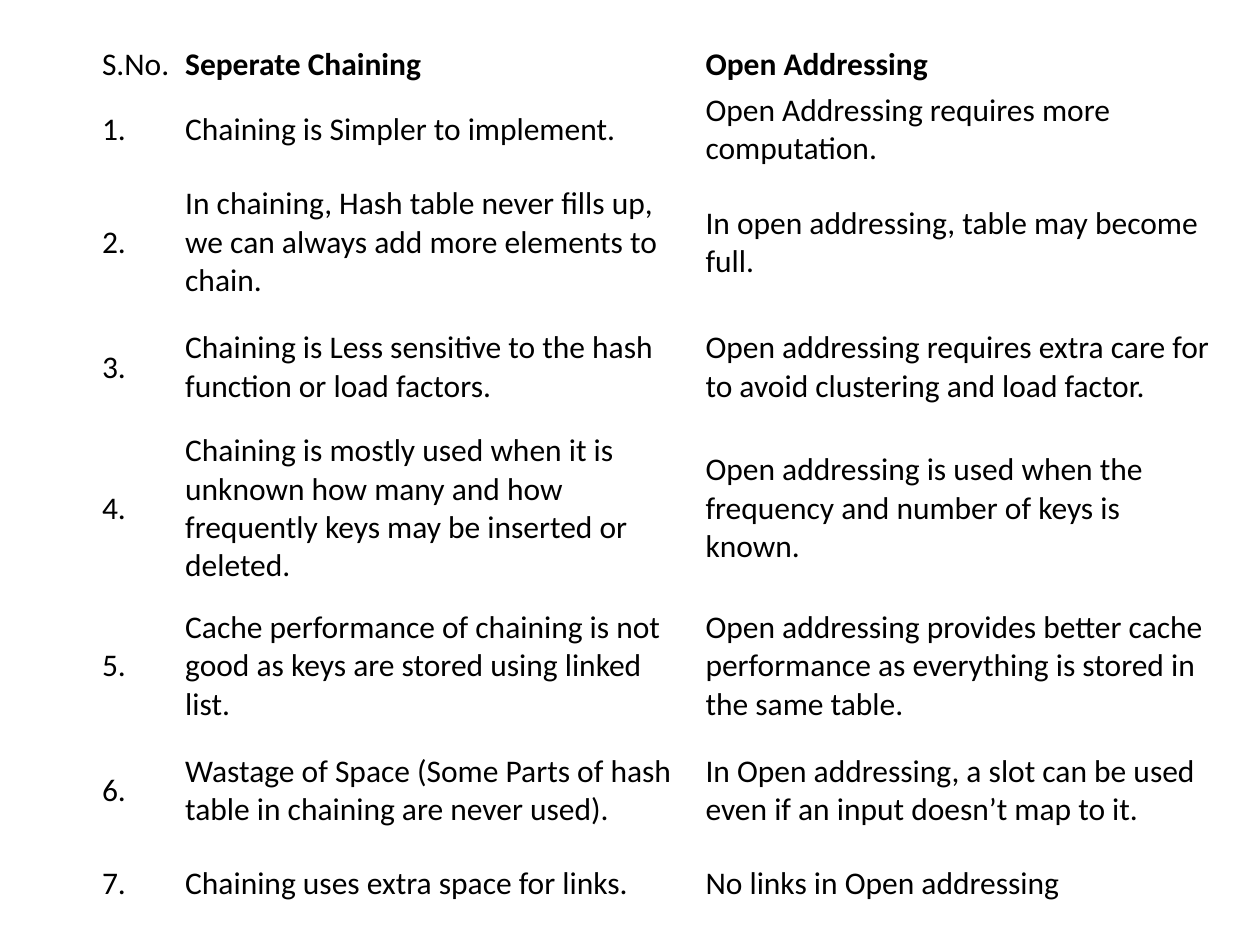
from pptx import Presentation
from pptx.dml.color import RGBColor as RGB
from pptx.enum.text import MSO_ANCHOR as Anchor
from pptx.util import Inches, Pt

HEAD = ("S.No.", "Seperate Chaining", "Open Addressing")
PAIRS = [
    ("Chaining is Simpler to implement.",
     "Open Addressing requires more computation."),
    ("In chaining, Hash table never fills up, we can always add more elements to chain.",
     "In open addressing, table may become full."),
    ("Chaining is Less sensitive to the hash function or load factors.",
     "Open addressing requires extra care for to avoid clustering and load factor."),
    ("Chaining is mostly used when it is unknown how many and how frequently keys "
     "may be inserted or deleted.",
     "Open addressing is used when the frequency and number of keys is known."),
    ("Cache performance of chaining is not good as keys are stored using linked list.",
     "Open addressing provides better cache performance as everything is stored "
     "in the same table."),
    ("Wastage of Space (Some Parts of hash table in chaining are never used).",
     "In Open addressing, a slot can be used even if an input doesn’t map to it."),
    ("Chaining uses extra space for links.",
     "No links in Open addressing"),
]
WIDTHS = (0.66, 4.13, 4.13)
HEIGHTS = (0.35, 0.61, 1.12, 0.86, 1.38, 1.12, 0.86, 0.61)
LEFT, TOP = 0.75, 0.33


def paint(font, color):
    font.color.rgb = RGB.from_string(color)


def write(cell, text, bold):
    cell.fill.background()
    cell.vertical_anchor = Anchor.MIDDLE
    cell.margin_left = cell.margin_right = Inches(0.06)
    cell.margin_top = cell.margin_bottom = Inches(0.03)
    run = cell.text_frame.paragraphs[0].add_run()
    run.text = text
    run.font.name = "Calibri"
    run.font.size = Pt(18)
    run.font.bold = bold
    paint(run.font, "000000")


def main():
    deck = Presentation()
    deck.slide_width, deck.slide_height = Inches(10), Inches(7.5)
    slide = deck.slides.add_slide(deck.slide_layouts[6])

    rows = [HEAD] + [(f"{n}.", *pair) for n, pair in enumerate(PAIRS, 1)]
    table = slide.shapes.add_table(
        len(rows), len(HEAD), Inches(LEFT), Inches(TOP),
        Inches(sum(WIDTHS)), Inches(sum(HEIGHTS))).table
    table.first_row = table.horz_banding = False
    for col, width in zip(table.columns, WIDTHS):
        col.width = Inches(width)
    for row, height in zip(table.rows, HEIGHTS):
        row.height = Inches(height)
    for r, texts in enumerate(rows):
        for c, text in enumerate(texts):
            write(table.cell(r, c), text, r == 0 and c > 0)

    deck.save("out.pptx")


if __name__ == "__main__":
    main()
